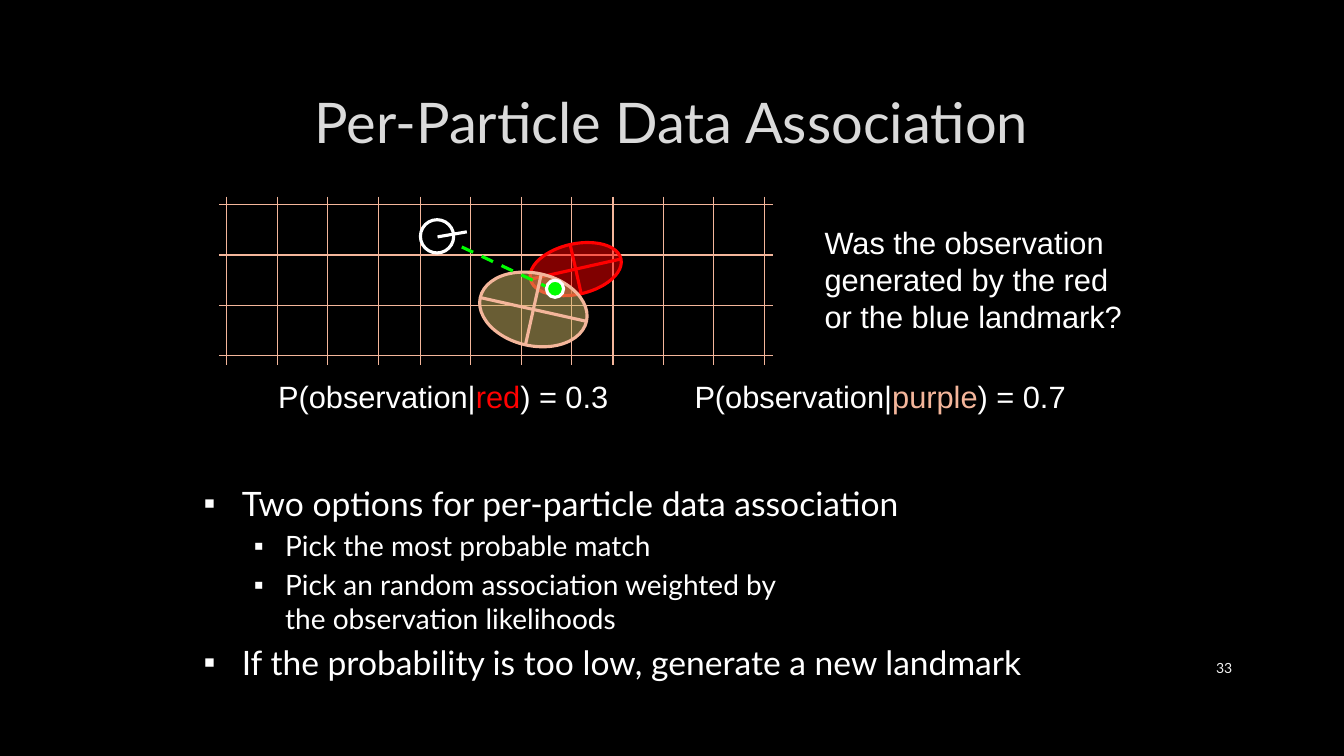
from dataclasses import dataclass
from math import cos, radians, sin

from pptx import Presentation
from pptx import util as u
from pptx.dml import color as col
from pptx.enum import dml, shapes, text
from pptx.oxml import ns
from lxml import etree

WHITE, RED, PEACH, GREEN = "FFFFFF", "FF0000", "F4B69B", "00FF00"
BLACK, OLIVE, PALE, GREY = "000000", "D3BA68", "F2F2F2", "DADADA"
LEFT, MID, RIGHT = text.PP_ALIGN.LEFT, text.PP_ALIGN.CENTER, text.PP_ALIGN.RIGHT
TOP, CENTER = text.MSO_ANCHOR.TOP, text.MSO_ANCHOR.MIDDLE


@dataclass
class Run:
    words: str
    size: float = 22
    font: str = "Arial"
    hue: str = WHITE


@dataclass
class Label:
    box: tuple[float, float, float, float]
    lines: list[list[Run]]
    align: text.PP_ALIGN = LEFT
    anchor: text.MSO_ANCHOR = TOP
    wrap: bool = False


@dataclass
class Landmark:
    box: tuple[float, float, float, float]
    turn: float
    fill: str
    edge: str


@dataclass
class Bullet:
    rows: list[str]
    level: int = 0


def rgb(code: str) -> col.RGBColor:
    return col.RGBColor.from_string(code)


def add_line(x1: float, y1: float, x2: float, y2: float, hue: str,
             width: float = 2.25, dash: bool = False) -> None:
    line = slide.shapes.add_connector(
        shapes.MSO_CONNECTOR.STRAIGHT, *map(u.Inches, (x1, y1, x2, y2)))
    line.line.color.rgb = rgb(hue)
    line.line.width = u.Pt(width)
    if dash:
        line.line.dash_style = dml.MSO_LINE.DASH
    etree.SubElement(line._element.spPr, ns.qn("a:effectLst"))


def add_oval(box: tuple[float, float, float, float], fill: str, edge: str,
             turn: float = 0, alpha: int = 100) -> None:
    oval = slide.shapes.add_shape(shapes.MSO_SHAPE.OVAL, *map(u.Inches, box))
    oval.shadow.inherit = False
    oval.rotation = turn
    oval.fill.solid()
    oval.fill.fore_color.rgb = rgb(fill)
    oval.line.color.rgb = rgb(edge)
    oval.line.width = u.Pt(2.25)
    if alpha < 100:
        tone = oval._element.spPr.find(".//" + ns.qn("a:srgbClr"))
        etree.SubElement(tone, ns.qn("a:alpha"), val=str(alpha * 1000))


def add_mark(mark: Landmark) -> None:
    """Draw a tilted ellipse with its two axes."""
    left, top, width, height = mark.box
    add_oval(mark.box, mark.fill, mark.edge, mark.turn, 50)
    x, y = left + width / 2, top + height / 2
    for half, turn in ((width / 2, mark.turn), (height / 2, mark.turn + 90)):
        dx, dy = half * cos(radians(turn)), half * sin(radians(turn))
        add_line(x - dx, y - dy, x + dx, y + dy, mark.edge)


def add_run(para, run: Run) -> None:
    piece = para.add_run()
    piece.text = run.words
    piece.font.size = u.Pt(run.size)
    piece.font.name = run.font
    piece.font.color.rgb = rgb(run.hue)


def add_frame(box: tuple[float, float, float, float], wrap: bool,
              anchor: text.MSO_ANCHOR = TOP):
    frame = slide.shapes.add_textbox(*map(u.Inches, box)).text_frame
    frame.word_wrap = wrap
    frame.vertical_anchor = anchor
    return frame


def add_label(label: Label) -> None:
    frame = add_frame(label.box, label.wrap, label.anchor)
    for i, runs in enumerate(label.lines):
        para = frame.add_paragraph() if i else frame.paragraphs[0]
        para.alignment = label.align
        for run in runs:
            add_run(para, run)


def add_list(box: tuple[float, float, float, float],
             items: list[Bullet]) -> None:
    frame = add_frame(box, True)
    for i, item in enumerate(items):
        para = frame.add_paragraph() if i else frame.paragraphs[0]
        size, left, hang = ((24, 0.38, 0.38), (20, 0.81, 0.31))[item.level]
        para.level = item.level
        para.space_before = u.Pt(size * 0.2)
        props = para._p.get_or_add_pPr()
        props.set("marL", str(u.Inches(left)))
        props.set("indent", str(-u.Inches(hang)))
        etree.SubElement(props, ns.qn("a:buFont"), typeface="Arial")
        etree.SubElement(props, ns.qn("a:buChar"), char="▪")
        for j, row in enumerate(item.rows):
            if j:
                para.add_line_break()
            add_run(para, Run(row, size, "Lato"))


deck = Presentation()
deck.slide_width, deck.slide_height = u.Inches(13.33), u.Inches(7.5)
slide = deck.slides.add_slide(deck.slide_layouts[6])
slide.background.fill.solid()
slide.background.fill.fore_color.rgb = rgb(BLACK)

# Title and slide number
add_label(Label((1, 0.67, 11.32, 1.06),
                [[Run("Per-Particle Data Association", 40, "Lato", GREY)]],
                MID, CENTER, True))
add_label(Label((11.5, 6.43, 0.82, 0.4), [[Run("33", 10, "Lato", PALE)]],
                RIGHT, CENTER, True))

# Grid: three blocks of four columns, four rows
STEP = 0.5
for start in (2.25, 4.17, 6.08):
    for i in range(4):
        x = start + i * STEP
        add_line(x, 1.95, x, 3.62, PEACH, 0.75)
for i in range(4):
    y = 2.03 + i * STEP
    add_line(2.17, y, 7.67, y, PEACH, 0.75)

# Landmarks
for mark in (Landmark((5.25, 2.42, 0.92, 0.5), -12.6, RED, RED),
             Landmark((4.75, 2.71, 1.08, 0.72), 12.6, OLIVE, PEACH)):
    add_mark(mark)

# Robot with its heading
add_oval((4.17, 2.18, 0.33, 0.33), BLACK, WHITE)
add_line(4.34, 2.35, 4.63, 2.3, WHITE)

# Question and odds
ask = ("Was the observation", "generated by the red", "or the blue landmark?")
add_label(Label((8.08, 2.17, 3.19, 1.21), [[Run(line)] for line in ask]))
for left, width, name, hue, odds in ((2.66, 3.49, "red", RED, "0.3"),
                                     (6.79, 3.93, "purple", PEACH, "0.7")):
    add_label(Label((left, 3.7, width, 0.47),
                    [[Run("P(observation|"), Run(name, hue=hue),
                      Run(f") = {odds}")]]))

# Options
add_list((1.92, 4.74, 9.42, 1.92), [
    Bullet(["Two options for per-particle data association"]),
    Bullet(["Pick the most probable match"], 1),
    Bullet(["Pick an random association weighted by ",
            "the observation likelihoods"], 1),
    Bullet(["If the probability is too low, generate a new landmark"]),
])

# Observation and its ray
add_oval((5.42, 2.78, 0.17, 0.17), GREEN, WHITE)
add_line(4.58, 2.45, 5.41, 2.84, GREEN, dash=True)

deck.save("out.pptx")
